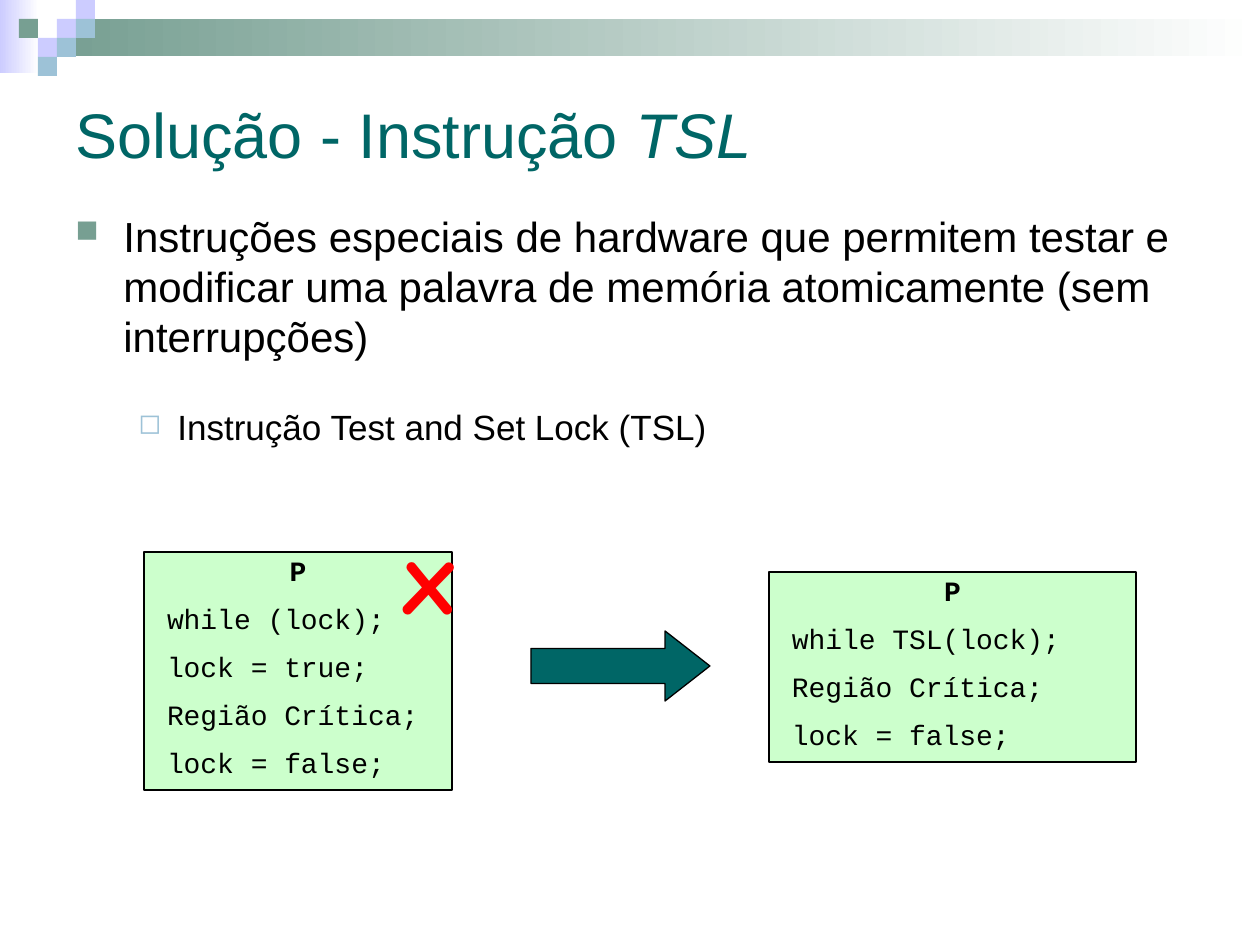
from lxml import etree
from pptx import Presentation
from pptx.dml.color import RGBColor
from pptx.enum.shapes import MSO_SHAPE
from pptx.enum.text import MSO_ANCHOR, PP_ALIGN
from pptx.oxml.ns import qn
from pptx.util import Inches, Pt

RECT, ARROW = MSO_SHAPE.RECTANGLE, MSO_SHAPE.RIGHT_ARROW
TOP, MIDDLE = MSO_ANCHOR.TOP, MSO_ANCHOR.MIDDLE
LEFT, CENTER = PP_ALIGN.LEFT, PP_ALIGN.CENTER
SCALE = Inches(1) / 126
COLORS = {"white": "FFFFFF", "black": "000000", "lilac": "CCCCFF", "sage": "779F92",
          "sky": "9DC2D7", "teal": "006666", "mint": "CCFFCC", "red": "FF0000"}


def px(n):
    """Turn pixels into EMU."""
    return round(n * SCALE)


def rgb(name):
    """Look up a named colour."""
    return RGBColor.from_string(COLORS[name])


def add_shape(slide, kind, box, fill, line=None):
    """Add a preset shape with a flat fill and an optional outline."""
    sp = slide.shapes.add_shape(kind, *map(px, box))
    sp.shadow.inherit = False
    sp.fill.solid()
    sp.fill.fore_color.rgb = rgb(fill)
    if line:
        sp.line.color.rgb = rgb(line)
        sp.line.width = Pt(0.75)
    else:
        sp.line.fill.background()
    return sp


def add_text(slide, box, anchor=TOP, wrap=True):
    """Add a text box and return its text frame."""
    tf = slide.shapes.add_textbox(*map(px, box)).text_frame
    tf.word_wrap = wrap
    tf.vertical_anchor = anchor
    return tf


def set_font(p, name, size, color, bold=False):
    """Set the font of a whole paragraph."""
    p.font.name, p.font.size, p.font.bold = name, Pt(size), bold
    p.font.color.rgb = rgb(color)


def set_bullet(p, char, color, percent, margin, indent):
    """Give a paragraph a coloured bullet and a hanging indent."""
    pPr = p._p.get_or_add_pPr()
    pPr.set("marL", str(px(margin)))
    pPr.set("indent", str(px(indent)))
    bullet = [etree.Element(qn(f"a:{tag}")) for tag in ("buClr", "buSzPct", "buChar")]
    etree.SubElement(bullet[0], qn("a:srgbClr"), val=COLORS[color])
    bullet[1].set("val", str(percent * 1000))
    bullet[2].set("char", char)
    for i, element in enumerate(bullet):
        pPr.insert(len(pPr.findall(qn("a:lnSpc")) + pPr.findall(qn("a:spcBef"))) + i, element)


def add_banner(slide, box):
    """Draw the fading bars and the mosaic of squares along the top."""
    x, y, w, h = box
    cell = 19
    bars = [((x, y, 39, h), "lilac"), ((x + 3 * cell, y + cell, w - 3 * cell, 37), "sage")]
    for bar, color in bars:
        sp = add_shape(slide, RECT, bar, color)
        sp.fill.gradient()
        sp.fill.gradient_angle = 180
        for stop, name in zip(sp.fill.gradient_stops, ("white", color)):
            stop.color.rgb = rgb(name)
            stop.position = 0 if name == "white" else 1
    squares = [(3, 1, "lilac"), (4, 0, "lilac"), (4, 1, "sky"), (2, 2, "lilac"),
               (1, 1, "sage"), (3, 2, "sky"), (2, 3, "sky")]
    for col, row, color in squares:
        add_shape(slide, RECT, (x + col * cell, y + row * cell, cell, cell), color)


def add_title(slide, box, plain, italic):
    """Write the title with its last words in italics."""
    p = add_text(slide, box, MIDDLE).paragraphs[0]
    set_font(p, "Arial", 36, "teal")
    p.add_run().text = plain
    r = p.add_run()
    r.text = italic
    r.font.italic = True


def add_body(slide, box, main, detail):
    """Write the main point and the detail under it."""
    tf = add_text(slide, box)
    levels = [(main, 24, 30, ("■", "sage", 75, 48, -48)),
              (detail, 20, 25, ("◻", "sky", 80, 102, -39))]
    for level, (text, size, before, bullet) in enumerate(levels):
        p = tf.add_paragraph() if level else tf.paragraphs[0]
        p.text, p.level, p.space_before = text, level, Pt(before)
        set_font(p, "Arial", size, "black")
        set_bullet(p, *bullet)


def add_code(slide, box, lines):
    """Draw a code panel headed by the process name."""
    tf = add_shape(slide, RECT, box, "mint", "black").text_frame
    tf.word_wrap = True
    tf.vertical_anchor = TOP
    tf.margin_left = tf.margin_right = px(23)
    tf.margin_top = tf.margin_bottom = px(11)
    for i, text in enumerate(["P"] + lines):
        p = tf.add_paragraph() if i else tf.paragraphs[0]
        p.text = text
        p.alignment = LEFT if i else CENTER
        p.line_spacing, p.space_before = 0.7, Pt(14)
        set_font(p, "Courier New", 16, "black", bold=not i)


def add_comparison(slide, box):
    """Place the wrong code, an arrow and the right code side by side."""
    x, y, w, h = box
    ending = ["Região Crítica;", "lock = false;"]
    add_code(slide, (x, y, 308, h), ["while (lock);", "lock = true;"] + ending)
    add_code(slide, (x + w - 367, y + 20, 367, 190), ["while TSL(lock);"] + ending)
    arrow = add_shape(slide, ARROW, (x + 387, y + 79, 179, 70), "teal", "black")
    arrow.adjustments[0], arrow.adjustments[1] = 0.5, 0.64
    p = add_text(slide, (x + 242, y - 49, 86, 139), wrap=False).paragraphs[0]
    p.text, p.alignment = "x", CENTER
    set_font(p, "Comic Neue", 60, "red", bold=True)


def main():
    """Build and save the slide."""
    prs = Presentation()
    prs.slide_width, prs.slide_height = px(1260), px(945)
    slide = prs.slides.add_slide(prs.slide_layouts[6])
    add_banner(slide, (0, 0, 1260, 73))
    add_title(slide, (63, 63, 1134, 141), "Solução - Instrução ", "TSL")
    add_body(slide, (63, 204, 1134, 704),
             "Instruções especiais de hardware que permitem testar e modificar "
             "uma palavra de memória atomicamente (sem interrupções)",
             "Instrução Test and Set Lock (TSL)")
    add_comparison(slide, (144, 552, 992, 238))
    prs.save("out.pptx")


if __name__ == "__main__":
    main()
